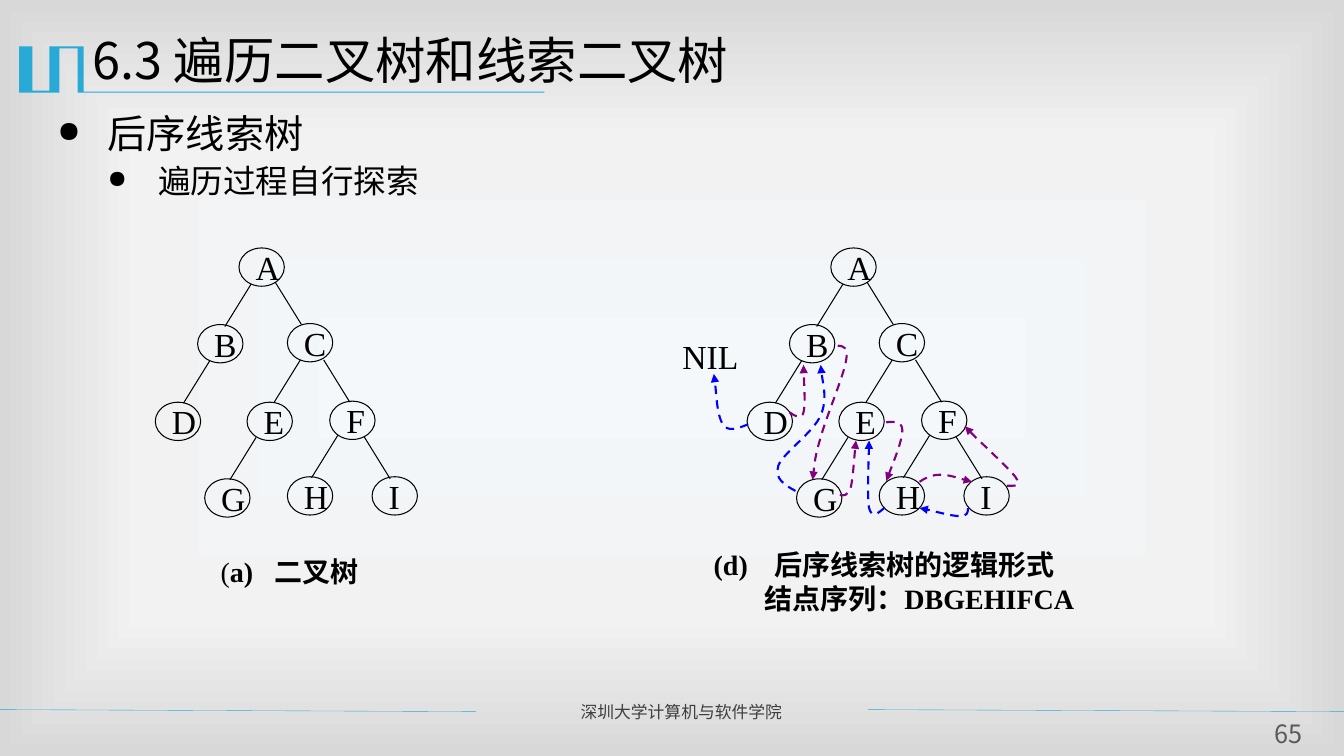
"""Build the slide on post-order threaded binary trees."""
from lxml.etree import SubElement
from pptx import Presentation
from pptx.dml.color import RGBColor
from pptx.enum.dml import MSO_LINE
from pptx.enum.shapes import MSO_CONNECTOR, MSO_SHAPE
from pptx.enum.text import MSO_ANCHOR, PP_ALIGN
from pptx.oxml import parse_xml
from pptx.oxml.ns import nsdecls, qn
from pptx.util import Pt

PX = 9144
BLACK = RGBColor(0, 0, 0)
SKY = RGBColor(0x28, 0xA9, 0xD6)
DARK = RGBColor(0x3F, 0x3F, 0x3F)
GRAY = RGBColor(0x59, 0x59, 0x59)
BLUE = RGBColor(0, 0, 0xFF)
PLUM = RGBColor(0x80, 0, 0x80)
SANS, SERIF = "Noto Sans CJK SC", "Times New Roman"

STOPS = [(0, "F4F8FB"), (63000, "F2F2F2"), (100000, "D8D8D8")]
BANNER = [(82, 46), (83, 46), (83, 91), (540, 91), (540, 92), (77, 92),
          (77, 48), (59, 48), (59, 92), (19, 92), (19, 46), (32, 46),
          (32, 90), (49, 90), (49, 46)]
RULES = [(0, 472), (861, 1333)]
TITLE = "6.3 遍历二叉树和线索二叉树"
BODY = [("后序线索树", 28, 50, 0), ("遍历过程自行探索", 23.3, 100, 3)]
FOOTER = "深圳大学计算机与软件学院"
PAGE = "65"

NODES = {"A": (237, 246), "B": (196, 322), "C": (285, 321),
         "D": (154, 399), "E": (245, 399), "F": (327, 398),
         "G": (203, 475), "H": (285, 473), "I": (369, 473)}
NODE_W, NODE_H = 45, 38
EDGES = [(249, 282, -1), (273, 280, 1), (208, 358, -1), (298, 357, -1),
         (321, 357, 1), (254, 434, -1), (335, 432, -1), (361, 433, 1)]
EDGE_W, EDGE_H = 26, 42
TREES = [0, 587]

THREADS = [
    (PLUM, [(783, 409), (789, 413), (795, 417), (797, 409), (799, 402),
            (797, 370), (797, 362)]),
    (PLUM, [(833, 491), (837, 492), (841, 492), (844, 483), (846, 474),
            (848, 445), (849, 437)]),
    (BLUE, [(742, 421), (732, 425), (722, 429), (717, 421), (711, 412),
            (710, 379), (708, 371)]),
    (BLUE, [(789, 487), (778, 481), (768, 475), (772, 462), (776, 450),
            (807, 429), (814, 412), (821, 396), (814, 371), (814, 362)]),
    (PLUM, [(831, 343), (836, 343), (842, 344), (839, 359), (836, 375),
            (819, 415), (814, 434), (808, 454), (807, 469), (806, 476)]),
    (BLUE, [(877, 504), (871, 509), (865, 515), (862, 504), (860, 493),
            (862, 448), (862, 437)]),
    (PLUM, [(879, 419), (887, 418), (895, 418), (895, 427), (895, 437),
            (882, 469), (879, 477)]),
    (PLUM, [(912, 478), (918, 474), (924, 471), (933, 471), (941, 471),
            (959, 477), (964, 478)]),
    (BLUE, [(960, 504), (960, 508), (960, 512), (952, 512), (944, 512),
            (919, 505), (912, 504)]),
    (PLUM, [(999, 482), (1006, 482), (1014, 483), (1007, 473), (1000, 464),
            (965, 432), (957, 423)]),
]
NIL = "NIL"
PLAIN = ["(", "a)\t二叉树"]
THREADED = [("(d)\t后序线索树的逻辑形式", 60, -60),
            ("结点序列：DBGEHIFCA", 50, 0)]


def style(par, size, face, color, bold=False):
    font = par.font
    font.size, font.name, font.bold = Pt(size), face, bold
    font.color.rgb = color
    latin = next(par._p.iter(qn("a:latin")))
    latin.addnext(parse_xml(f'<a:ea {nsdecls("a")} typeface="{SANS}"/>'))


def indent(par, left, first, mark=None):
    props = par._p.get_or_add_pPr()
    props.set("marL", str(left * PX))
    props.set("indent", str(first * PX))
    if mark:
        SubElement(props, qn("a:buSzPct")).set("val", "75000")
        SubElement(props, qn("a:buChar")).set("char", mark)


def frame(slide, x, y, w, h):
    text = slide.shapes.add_textbox(x * PX, y * PX, w * PX, h * PX).text_frame
    text.word_wrap = True
    return text


def label(slide, box, words, size, color, face=SANS):
    text = frame(slide, *box)
    par = text.paragraphs[0]
    par.text = words
    style(par, size, face, color)
    return text


def link(slide, x1, y1, x2, y2, color, width):
    line = slide.shapes.add_connector(
        MSO_CONNECTOR.STRAIGHT, x1 * PX, y1 * PX, x2 * PX, y2 * PX)
    line.line.color.rgb, line.line.width = color, Pt(width)
    SubElement(line.element.spPr, qn("a:effectLst"))


def outline(slide, points, close):
    form = slide.shapes.build_freeform(*points[0], scale=PX)
    form.add_line_segments(points[1:], close=close)
    shape = form.convert_to_shape()
    shape.shadow.inherit = False
    return shape


def thread(slide, color, points):
    shape = outline(slide, points, False)
    shape.fill.background()
    pen = shape.line
    pen.color.rgb, pen.width, pen.dash_style = color, Pt(1.5), MSO_LINE.DASH
    SubElement(pen._get_or_add_ln(), qn("a:tailEnd")).set("type", "triangle")
    track = next(shape.element.iter(qn("a:path")))
    steps = track.findall(qn("a:lnTo"))
    for i in range(0, len(steps), 3):
        curve = SubElement(track, qn("a:cubicBezTo"))
        for step in steps[i:i + 3]:
            curve.append(step[0])
            track.remove(step)


def tree(slide, shift):
    for name, (x, y) in NODES.items():
        node = slide.shapes.add_shape(
            MSO_SHAPE.OVAL, (x + shift) * PX, y * PX, NODE_W * PX, NODE_H * PX)
        node.shadow.inherit = False
        node.fill.background()
        node.line.color.rgb, node.line.width = BLACK, Pt(0.75)
        text = node.text_frame
        text.word_wrap, text.vertical_anchor = False, MSO_ANCHOR.MIDDLE
        par = text.paragraphs[0]
        par.text, par.alignment = name, PP_ALIGN.LEFT
        style(par, 24, SERIF, BLACK)
    for x, y, side in EDGES:
        x += shift
        link(slide, x, y, x + side * EDGE_W, y + EDGE_H, BLACK, 0.75)


def backdrop(slide):
    slide.background.fill.solid()
    stops = "".join(f'<a:gs pos="{pos}"><a:srgbClr val="{tone}"/></a:gs>'
                    for pos, tone in STOPS)
    grad = parse_xml(
        f'<a:gradFill {nsdecls("a")} rotWithShape="1"><a:gsLst>{stops}</a:gsLst>'
        '<a:path path="rect"><a:fillToRect l="50000" t="50000" r="50000" '
        'b="50000"/></a:path></a:gradFill>')
    props = next(slide.element.iter(qn("p:bgPr")))
    props.replace(props[0], grad)


def captions(slide):
    text = label(slide, (667, 334, 100, 39), NIL, 24, BLACK, SERIF)
    text.vertical_anchor = MSO_ANCHOR.MIDDLE

    text = frame(slide, 209, 547, 180, 39)
    text.vertical_anchor = MSO_ANCHOR.MIDDLE
    par = text.paragraphs[0]
    indent(par, 53, -53)
    for words in PLAIN:
        par.add_run().text = words
    par.runs[0].font.bold = False
    par.line_spacing = Pt(24)
    style(par, 20, SERIF, BLACK, True)

    text = frame(slide, 698, 545, 420, 63)
    text.vertical_anchor = MSO_ANCHOR.MIDDLE
    for i, (words, left, first) in enumerate(THREADED):
        par = text.add_paragraph() if i else text.paragraphs[0]
        par.text, par.line_spacing = words, Pt(24)
        indent(par, left, first)
        style(par, 20, SERIF, BLACK, True)


def main():
    deck = Presentation()
    deck.slide_width, deck.slide_height = 1333 * PX, 750 * PX
    slide = deck.slides.add_slide(deck.slide_layouts[6])
    backdrop(slide)
    banner = outline(slide, BANNER, True)
    banner.fill.solid()
    banner.fill.fore_color.rgb = SKY
    banner.line.fill.background()
    for x1, x2 in RULES:
        link(slide, x1, 704, x2, 706, SKY, 0.25)

    label(slide, (566, 691, 285, 30), FOOTER, 12, DARK)
    label(slide, (82, 24, 1200, 87), TITLE, 36, BLACK)
    page = label(slide, (1248, 713, 59, 31), PAGE, 18, GRAY)
    page.margin_left = page.margin_right = 0
    page.margin_top = page.margin_bottom = 0
    page.paragraphs[0].alignment = PP_ALIGN.CENTER

    text = frame(slide, 47, 104, 1213, 563)
    for i, (words, size, left, gap) in enumerate(BODY):
        par = text.add_paragraph() if i else text.paragraphs[0]
        par.text, par.level = words, i
        if gap:
            par.space_before = Pt(gap)
        indent(par, left, -50, "●")
        style(par, size, SANS, BLACK)

    for shift in TREES:
        tree(slide, shift)
    for color, points in THREADS:
        thread(slide, color, points)
    captions(slide)
    deck.save("out.pptx")


if __name__ == "__main__":
    main()
